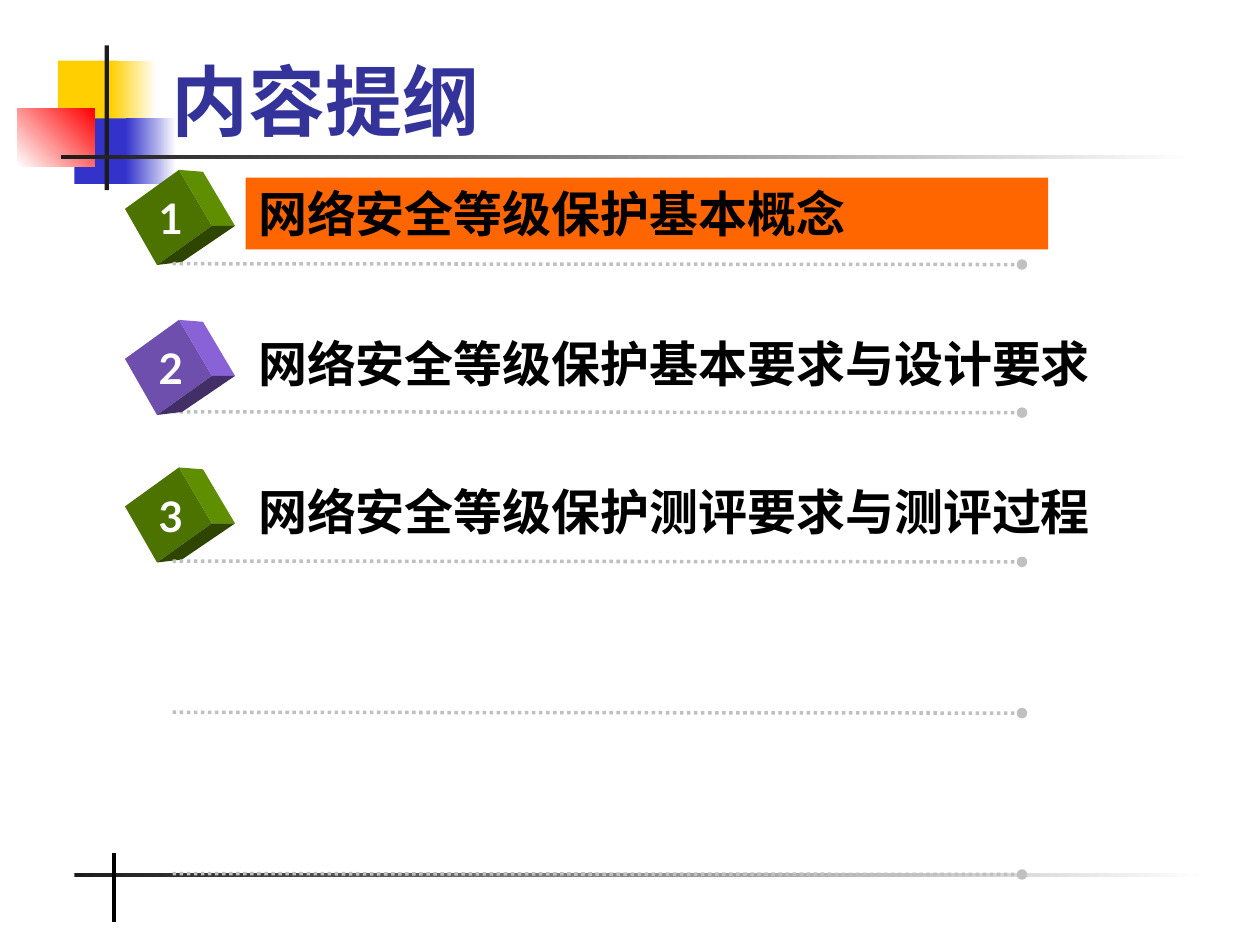
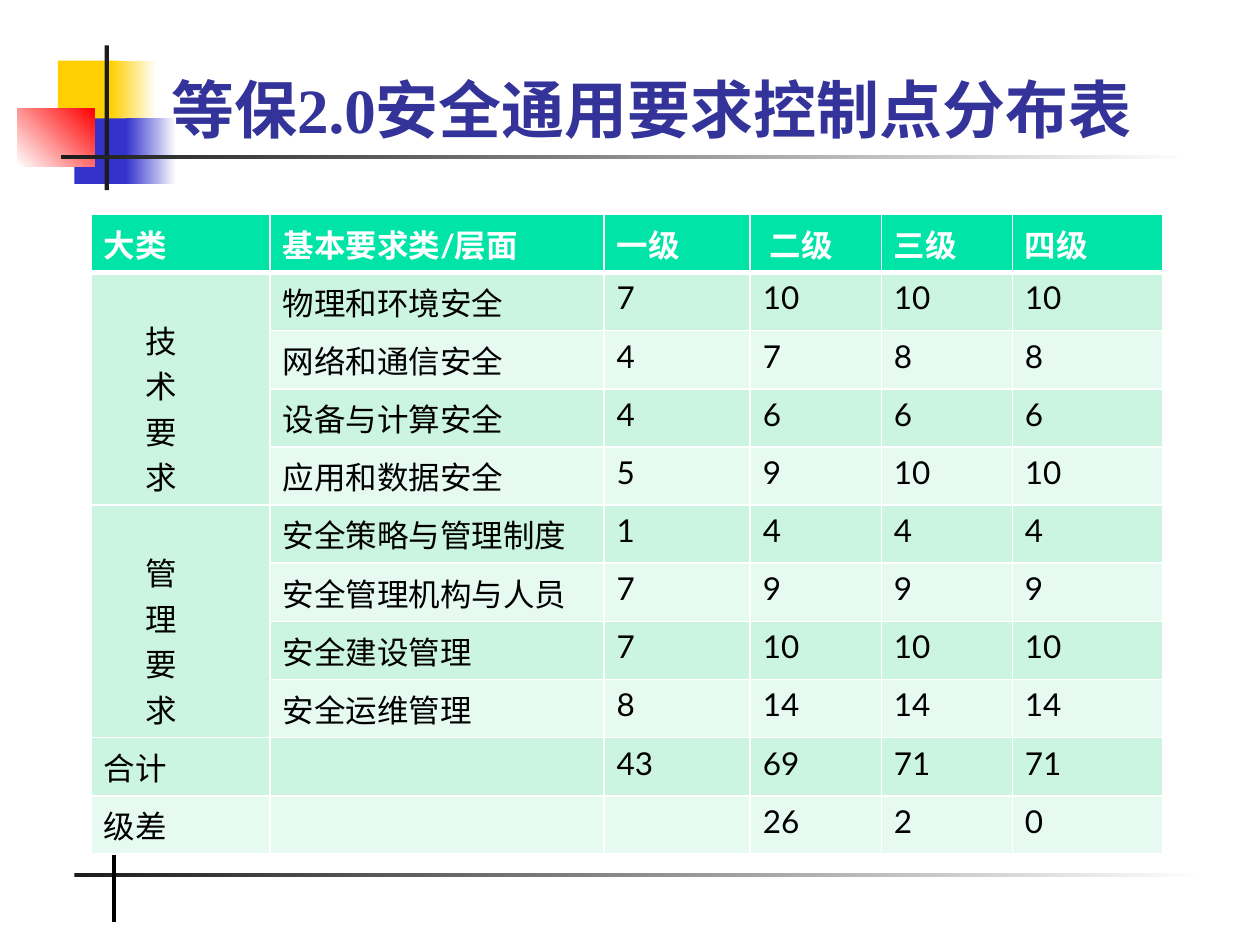
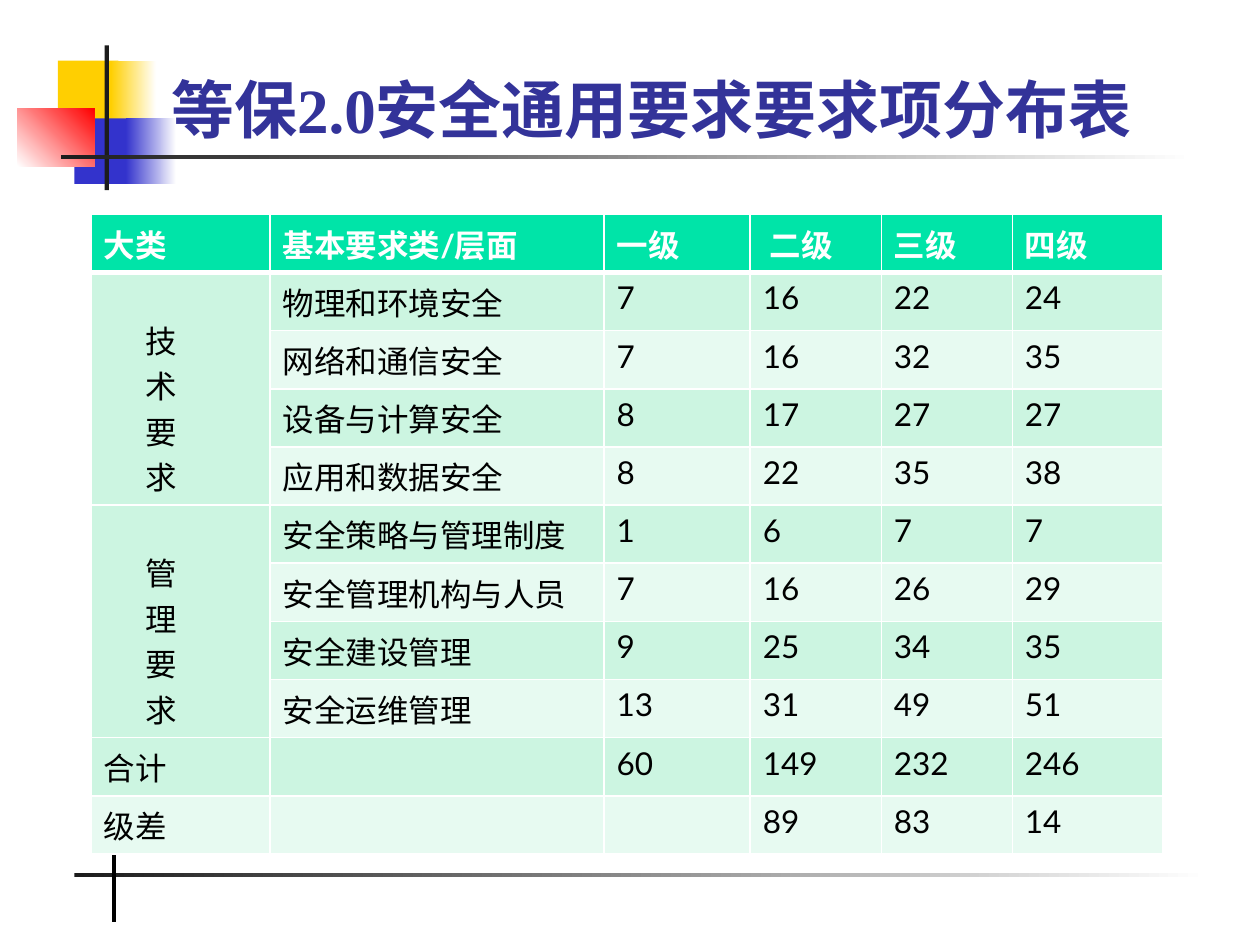
from lxml.etree import SubElement
from pptx import Presentation
from pptx.dml.color import RGBColor
from pptx.enum.dml import MSO_LINE
from pptx.enum.shapes import MSO_CONNECTOR, MSO_SHAPE
from pptx.enum.text import MSO_ANCHOR, PP_ALIGN
from pptx.oxml.ns import qn
from pptx.util import Pt

YELLOW, BLUE, RED = "FFCF01", "3333CC", "FF0000"
WHITE, BLACK, CHARCOAL, GREY = "FFFFFF", "000000", "1C1C1C", "C0C0C0"
TITLE_BLUE, ORANGE, GREEN, PURPLE = "333399", "FF6600", "669900", "9369E7"
HEADER_GREEN, BANDS = "00E4A8", ("CCF5E1", "E7FAF1")
BODY_FONT, TITLE_FONT = "Lato", "Times New Roman"

# Each cube face: brightness and corner points measured from the cube's top left
CUBE_FACES = (
    (0.75, ((0, 22.3), (30.9, 0), (49.7, 32), (18.3, 54.3))),
    (0.93, ((30.9, 0), (44.6, 1.1), (62.9, 32), (49.7, 32))),
    (0.45, ((18.3, 54.3), (49.7, 32), (62.9, 32), (32.6, 52.6))),
)
AGENDA = (
    (101.5, GREEN, "网络安全等级保护基本概念"),
    (187.2, PURPLE, "网络安全等级保护基本要求与设计要求"),
    (271.5, GREEN, "网络安全等级保护测评要求与测评过程"),
)

COLUMN_WIDTHS = (102.2, 190.8, 83.5, 74.9, 74.9, 85.7)
ROW_HEIGHT = 33.25
HEADERS = ("大类", "基本要求类/层面", "一级", " 二级", "三级", "四级")
CATEGORIES = ("物理和环境安全", "网络和通信安全", "设备与计算安全", "应用和数据安全",
              "安全策略与管理制度", "安全管理机构与人员", "安全建设管理", "安全运维管理")
GROUPS = {1: "技术要求", 5: "管理要求"}
GROUP_SIZE = 4
CONTROL_POINTS = (
    (7, 10, 10, 10), (4, 7, 8, 8), (4, 6, 6, 6), (5, 9, 10, 10),
    (1, 4, 4, 4), (7, 9, 9, 9), (7, 10, 10, 10), (8, 14, 14, 14),
    (43, 69, 71, 71), ("", 26, 2, 0),
)
REQUIREMENT_ITEMS = (
    (7, 16, 22, 24), (7, 16, 32, 35), (8, 17, 27, 27), (8, 22, 35, 38),
    (1, 6, 7, 7), (7, 16, 26, 29), (9, 25, 34, 35), (13, 31, 49, 51),
    (60, 149, 232, 246), ("", 89, 83, 14),
)


def color(hex_string):
    return RGBColor.from_string(hex_string)


def darken(hex_string, brightness):
    channels = (int(hex_string[i:i + 2], 16) for i in (0, 2, 4))
    return "".join(f"{round(channel * brightness):02X}" for channel in channels)


def add_run(paragraph, text, size, font_color, bold=True, font_name=BODY_FONT):
    run = paragraph.add_run()
    run.text = text
    run.font.size = Pt(size)
    run.font.name = font_name
    run.font.bold = bold
    run.font.color.rgb = color(font_color)


def add_text(slide, box, text, size, font_color, font_name=BODY_FONT,
             align=PP_ALIGN.LEFT, anchor=MSO_ANCHOR.TOP, wrap=True):
    shape = slide.shapes.add_textbox(*map(Pt, box))
    frame = shape.text_frame
    frame.word_wrap = wrap
    frame.vertical_anchor = anchor
    paragraph = frame.paragraphs[0]
    paragraph.alignment = align
    add_run(paragraph, text, size, font_color, font_name=font_name)
    return shape


def add_block(slide, box, start, end=None, angle=0):
    """Add a borderless rectangle, plain or with a gradient from start to end."""
    shape = slide.shapes.add_shape(MSO_SHAPE.RECTANGLE, *map(Pt, box))
    shape.shadow.inherit = False
    shape.line.fill.background()
    if end is None:
        shape.fill.solid()
        shape.fill.fore_color.rgb = color(start)
        return
    shape.fill.gradient()
    shape.fill.gradient_angle = angle
    for stop, stop_color in zip(shape.fill.gradient_stops, (start, end)):
        stop.color.rgb = color(stop_color)


def add_line(slide, start, end, line_color, width):
    connector = slide.shapes.add_connector(
        MSO_CONNECTOR.STRAIGHT, *map(Pt, (*start, *end)))
    connector.line.color.rgb = color(line_color)
    connector.line.width = Pt(width)
    SubElement(connector._element.spPr, qn("a:effectLst"))
    return connector


def add_dotted_rule(slide, top):
    connector = add_line(slide, (98.7, top), (584, top + 0.5), GREY, 2)
    connector.line.dash_style = MSO_LINE.ROUND_DOT
    SubElement(connector.line._get_or_add_ln(), qn("a:tailEnd"), type="oval")


def add_cube(slide, left, top, base_color):
    for brightness, corners in CUBE_FACES:
        points = [(Pt(left + x), Pt(top + y)) for x, y in corners]
        builder = slide.shapes.build_freeform(*points[0])
        builder.add_line_segments(points[1:], close=True)
        face = builder.convert_to_shape()
        face.shadow.inherit = False
        face.fill.solid()
        face.fill.fore_color.rgb = color(darken(base_color, brightness))
        face.line.fill.background()


def add_agenda_item(slide, number, top, cube_color, text):
    add_cube(slide, 71.4, top - 4.4, cube_color)
    add_text(slide, (140.4, top, 495.4, 41), text, 28, BLACK)
    add_text(slide, (83.5, top + 5.1, 28.1, 36), str(number), 24, WHITE,
             align=PP_ALIGN.CENTER, wrap=False)


def add_base_slide(presentation, title, title_size):
    """Add a slide with the shared corner blocks, rules and title."""
    slide = presentation.slides.add_slide(presentation.slide_layouts[6])
    add_block(slide, (33.1, 34.6, 34.6, 37.4), YELLOW)
    add_block(slide, (63.4, 34.6, 25.9, 37.4), YELLOW, WHITE)
    add_block(slide, (42.5, 67.7, 33.1, 37.4), BLUE)
    add_block(slide, (72, 67.7, 28.8, 37.4), BLUE, WHITE)
    add_block(slide, (10, 61.9, 44, 33.1), WHITE, RED, angle=45)
    add_block(slide, (59.8, 25.9, 2.5, 82.8), CHARCOAL)
    add_block(slide, (34.6, 88.5, 648, 2.5), CHARCOAL, WHITE)
    add_block(slide, (42.5, 498.8, 648, 2.5), CHARCOAL, WHITE)
    add_line(slide, (65, 487.4), (65, 527), BLACK, 2.25)
    add_text(slide, (90.7, 11.5, 613.4, 75.6), title, title_size, TITLE_BLUE,
             TITLE_FONT, anchor=MSO_ANCHOR.BOTTOM)
    return slide


def style_cell(cell, row):
    """Give a cell its white borders and its band or header fill."""
    properties = cell._tc.get_or_add_tcPr()
    widths = {"lnL": 1, "lnR": 1, "lnT": 3 if row == 1 else 1, "lnB": 3 if row == 0 else 1}
    for side, width in widths.items():
        border = SubElement(properties, qn(f"a:{side}"), w=str(Pt(width)))
        fill = SubElement(border, qn("a:solidFill"))
        SubElement(fill, qn("a:srgbClr"), val=WHITE)
    cell.fill.solid()
    cell.fill.fore_color.rgb = color(BANDS[(row - 1) % 2] if row else HEADER_GREEN)


def add_group_label(table, row, label):
    """Merge a group's first-column cells and stack its label one character a line."""
    cell = table.cell(row, 0)
    cell.merge(table.cell(row + GROUP_SIZE - 1, 0))
    cell.margin_left = Pt(30.7)
    cell.margin_top = Pt(25.2)
    frame = cell.text_frame
    for index, character in enumerate(label):
        paragraph = frame.add_paragraph() if index else frame.paragraphs[0]
        add_run(paragraph, character, 18, BLACK, bold=False)


def add_level_table(slide, values):
    labels = [("", category) for category in CATEGORIES] + [("合计", ""), ("级差", "")]
    rows = [HEADERS] + [label + numbers for label, numbers in zip(labels, values)]
    table = slide.shapes.add_table(
        len(rows), len(HEADERS), Pt(52.2), Pt(122.5),
        Pt(sum(COLUMN_WIDTHS)), Pt(ROW_HEIGHT * len(rows))).table
    for column, width in zip(table.columns, COLUMN_WIDTHS):
        column.width = Pt(width)
    for row_index, texts in enumerate(rows):
        table.rows[row_index].height = Pt(ROW_HEIGHT)
        is_header = row_index == 0
        for column_index, text in enumerate(texts):
            cell = table.cell(row_index, column_index)
            style_cell(cell, row_index)
            if text != "":
                add_run(cell.text_frame.paragraphs[0], str(text), 18,
                        WHITE if is_header else BLACK, bold=is_header)
    for row_index, label in GROUPS.items():
        add_group_label(table, row_index, label)


def main():
    presentation = Presentation()
    presentation.slide_width = Pt(720)
    presentation.slide_height = Pt(540)

    agenda = add_base_slide(presentation, "内容提纲", 44)
    add_dotted_rule(agenda, 235.3)
    add_block(agenda, (140.4, 101.5, 458.6, 41), ORANGE)
    for number, item in enumerate(AGENDA, start=1):
        add_agenda_item(agenda, number, *item)
    for top in (150.7, 320.6, 407, 499.2):
        add_dotted_rule(agenda, top)

    for title, values in (("等保2.0安全通用要求控制点分布表", CONTROL_POINTS),
                          ("等保2.0安全通用要求要求项分布表", REQUIREMENT_ITEMS)):
        slide = add_base_slide(presentation, title, 36)
        add_level_table(slide, values)

    presentation.save("out.pptx")


if __name__ == "__main__":
    main()
